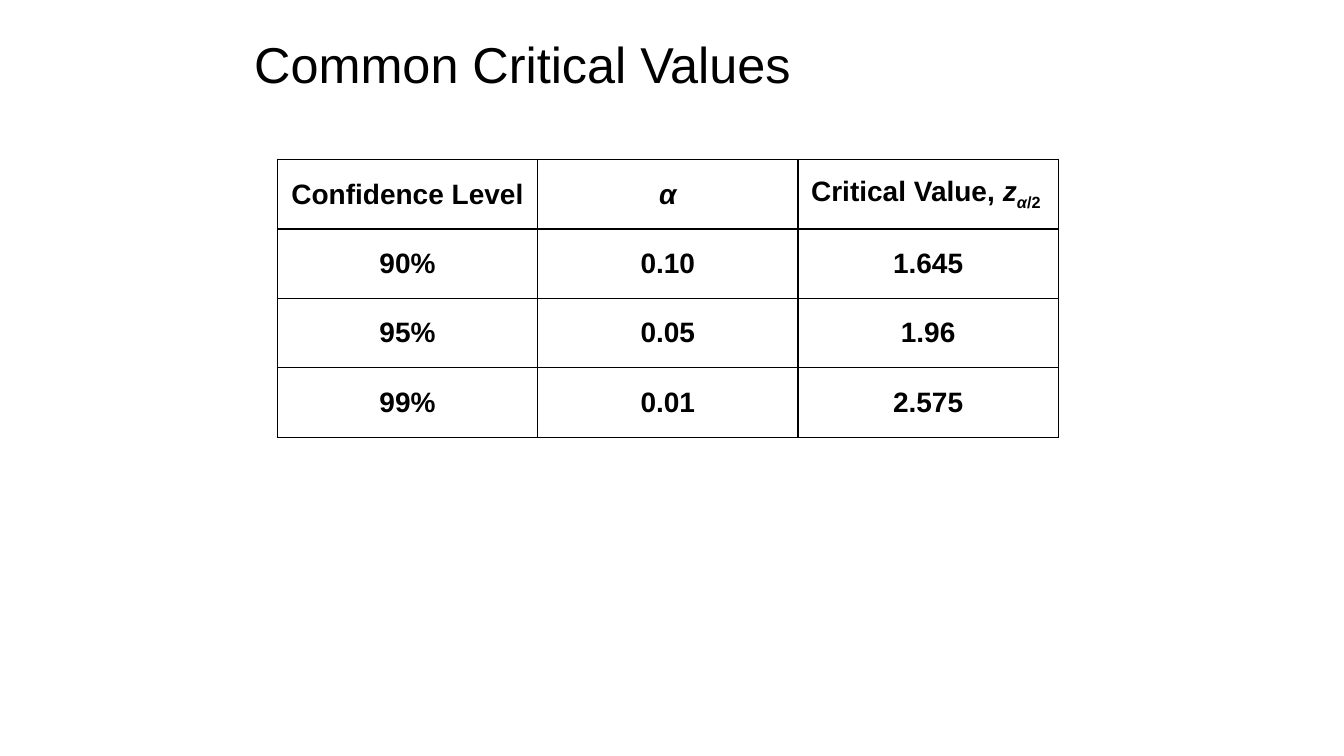
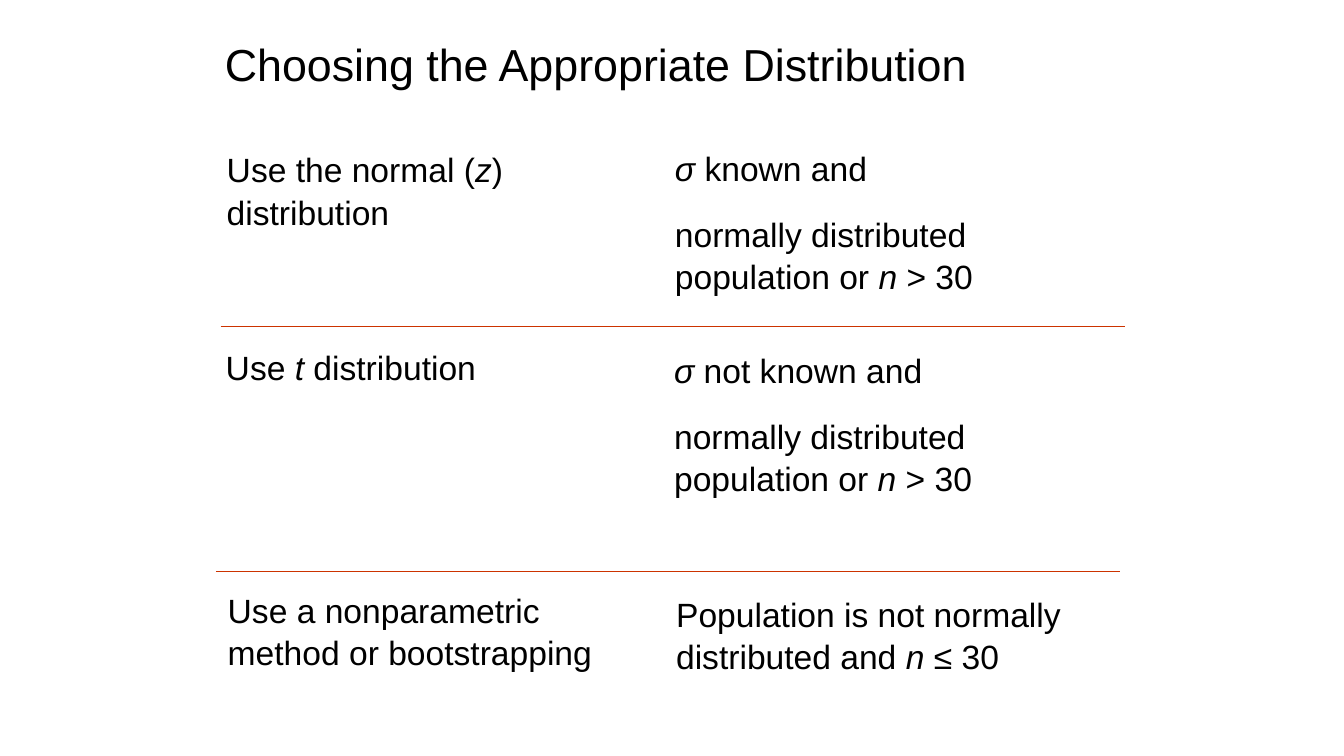
from dataclasses import dataclass

from lxml.etree import SubElement
from pptx import Presentation
from pptx.dml.color import RGBColor
from pptx.enum.shapes import MSO_CONNECTOR
from pptx.enum.text import MSO_ANCHOR, MSO_AUTO_SIZE, PP_ALIGN
from pptx.oxml.ns import qn
from pptx.util import Cm, Pt

HUES = {"ink": "000000", "rule": "CC3300"}
FACE = "Arial"
PLAIN, ITALIC, SUB, SLANT = "", "i", "s", "is"


@dataclass(frozen=True)
class Bit:
    text: str
    style: str = PLAIN


@dataclass(frozen=True)
class Box:
    left: float
    top: float
    width: float
    height: float

    def cm(self) -> tuple:
        return Cm(self.left), Cm(self.top), Cm(self.width), Cm(self.height)


@dataclass(frozen=True)
class Note:
    box: Box
    lines: tuple


@dataclass(frozen=True)
class Rule:
    left: float
    top: float
    width: float = 22.78


NORMAL = (Bit("normally distributed population or "), Bit("n", ITALIC), Bit(" > 30"))

NOTES = (
    Note(Box(5.46, 3.58, 11.48, 5.94),
         ((Bit("Use the normal ("), Bit("z", ITALIC), Bit(") distribution")),)),
    Note(Box(16.76, 3.56, 11.94, 4.5),
         ((Bit("σ ", ITALIC), Bit("known and")), NORMAL)),
    Note(Box(5.44, 8.56, 11.48, 5.87),
         ((Bit("Use "), Bit("t", ITALIC), Bit(" distribution")),)),
    Note(Box(16.74, 8.64, 11.94, 4.06),
         ((Bit("σ", ITALIC), Bit(" not known and")), NORMAL)),
    Note(Box(5.49, 14.68, 10.59, 3.58),
         ((Bit("Use a nonparametric method or bootstrapping"),),)),
    Note(Box(16.79, 14.78, 11.94, 2.59),
         ((Bit("Population is not normally distributed and"),
           Bit(" n ", ITALIC), Bit("≤ 30")),)),
)

RULES = (Rule(5.56, 8.23), Rule(5.44, 14.4))

ROWS = (
    ((Bit("Confidence Level"),), (Bit("α", ITALIC),),
     (Bit("Critical Value, "), Bit("z", ITALIC), Bit("α", SLANT), Bit("/2 ", SUB))),
    ((Bit("90%"),), (Bit("0.10"),), (Bit("1.645"),)),
    ((Bit("95%"),), (Bit("0.05"),), (Bit("1.96"),)),
    ((Bit("99%"),), (Bit("0.01"),), (Bit("2.575"),)),
)


def hue(name: str) -> RGBColor:
    return RGBColor.from_string(HUES[name])


def style(run, size: float, bold: bool = False, kind: str = PLAIN) -> None:
    font = run.font
    font.name, font.size, font.bold = FACE, Pt(size), bold
    font.italic = "i" in kind
    font.color.rgb = hue("ink")
    if "s" in kind:
        run._r.get_or_add_rPr().set("baseline", "-25000")


def write(para, bits: tuple, size: float, bold: bool = False) -> None:
    for bit in bits:
        run = para.add_run()
        run.text = bit.text
        style(run, size, bold, bit.style)


def place(shape, box: Box) -> None:
    shape.left, shape.top, shape.width, shape.height = box.cm()


def add_title(slide, text: str, box: Box, size: float, pitch: float) -> None:
    title = slide.shapes.title
    place(title, box)
    frame = title.text_frame
    frame.text = text
    frame.word_wrap = True
    frame.auto_size = MSO_AUTO_SIZE.NONE
    frame.vertical_anchor = MSO_ANCHOR.MIDDLE
    para = frame.paragraphs[0]
    para.alignment = PP_ALIGN.LEFT
    para.line_spacing = pitch
    style(para.runs[0], size)


def fill_note(shape, note: Note) -> None:
    place(shape, note.box)
    frame = shape.text_frame
    frame.word_wrap = True
    frame.auto_size = MSO_AUTO_SIZE.NONE
    for rank, bits in enumerate(note.lines):
        para = frame.add_paragraph() if rank else frame.paragraphs[0]
        props = para._p.get_or_add_pPr()
        props.set("marL", "0")
        props.set("indent", "0")
        SubElement(props, qn("a:buNone"))
        para.line_spacing = 1.05
        para.space_before = Pt(8.4 if rank else 0)
        para.space_after = Pt(8.4)
        write(para, bits, 24)


def add_rule(slide, rule: Rule) -> None:
    line = slide.shapes.add_connector(
        MSO_CONNECTOR.STRAIGHT, Cm(rule.left), Cm(rule.top),
        Cm(rule.left + rule.width), Cm(rule.top))
    line.line.color.rgb = hue("rule")
    line.line.width = Pt(1)
    SubElement(line._element.spPr, qn("a:effectLst"))


def edge(cell) -> None:
    props = cell._tc.get_or_add_tcPr()
    for side in ("lnL", "lnR", "lnT", "lnB"):
        line = SubElement(props, qn(f"a:{side}"), w=str(Pt(1)))
        fill = SubElement(line, qn("a:solidFill"))
        SubElement(fill, qn("a:srgbClr"), val=HUES["ink"])


def add_grid(slide, rows: tuple, box: Box) -> None:
    grid = slide.shapes.add_table(len(rows), len(rows[0]), *box.cm()).table
    grid.first_row = grid.horz_banding = False
    for row, texts in zip(grid.rows, rows):
        for cell, bits in zip(row.cells, texts):
            edge(cell)
            cell.fill.background()
            cell.vertical_anchor = MSO_ANCHOR.MIDDLE
            para = cell.text_frame.paragraphs[0]
            para.alignment = PP_ALIGN.CENTER
            write(para, bits, 20, True)


def main() -> None:
    deck = Presentation()
    deck.slide_width, deck.slide_height = Cm(33.87), Cm(19.05)

    values = deck.slides.add_slide(deck.slide_layouts[5])
    add_title(values, "Common Critical Values", Box(6.15, 0.46, 21.59, 1.9), 36, 1.25)
    add_grid(values, ROWS, Box(6.99, 4.02, 19.68, 7))

    choice = deck.slides.add_slide(deck.slide_layouts[1])
    add_title(choice, "Choosing the Appropriate Distribution",
              Box(5.41, 0.51, 23.8, 2.18), 32, 1)
    fill_note(choice.placeholders[1], NOTES[0])
    for note in NOTES[1:]:
        fill_note(choice.shapes.add_textbox(*note.box.cm()), note)
    for rule in RULES:
        add_rule(choice, rule)

    deck.save("out.pptx")


if __name__ == "__main__":
    main()
